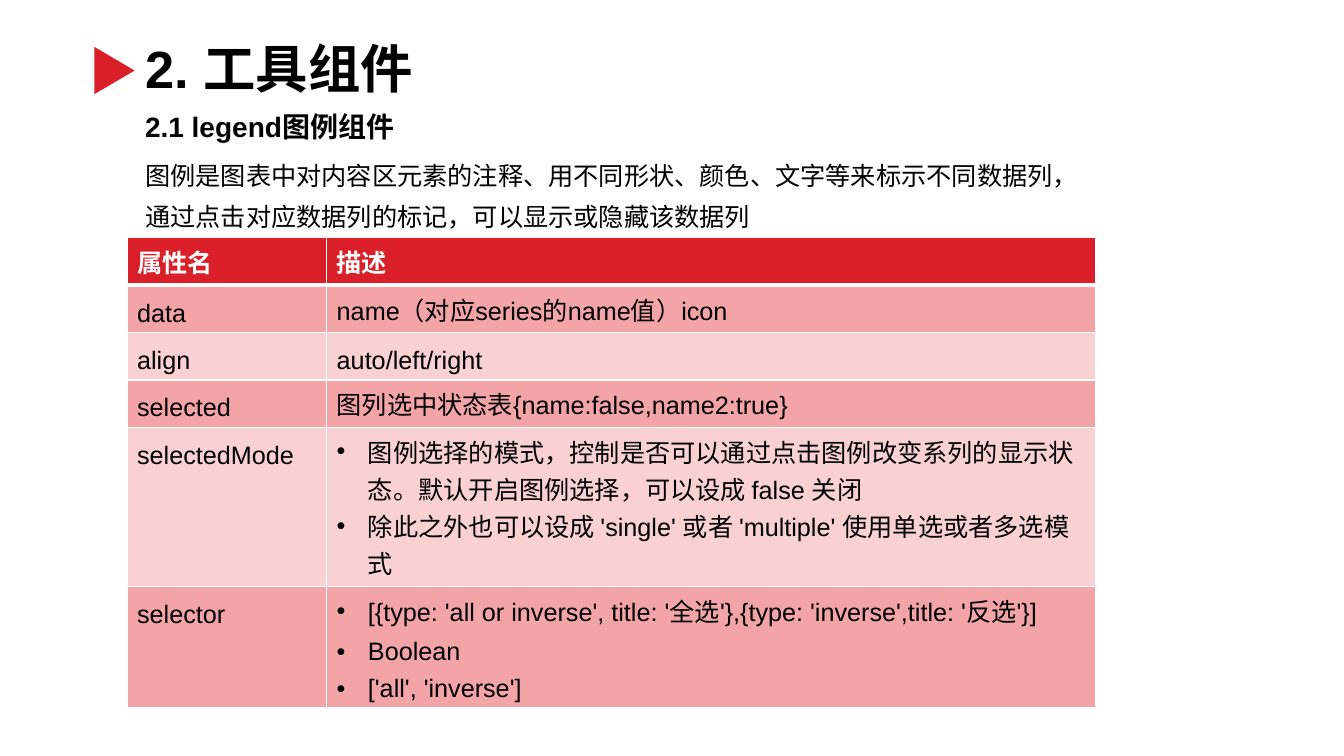
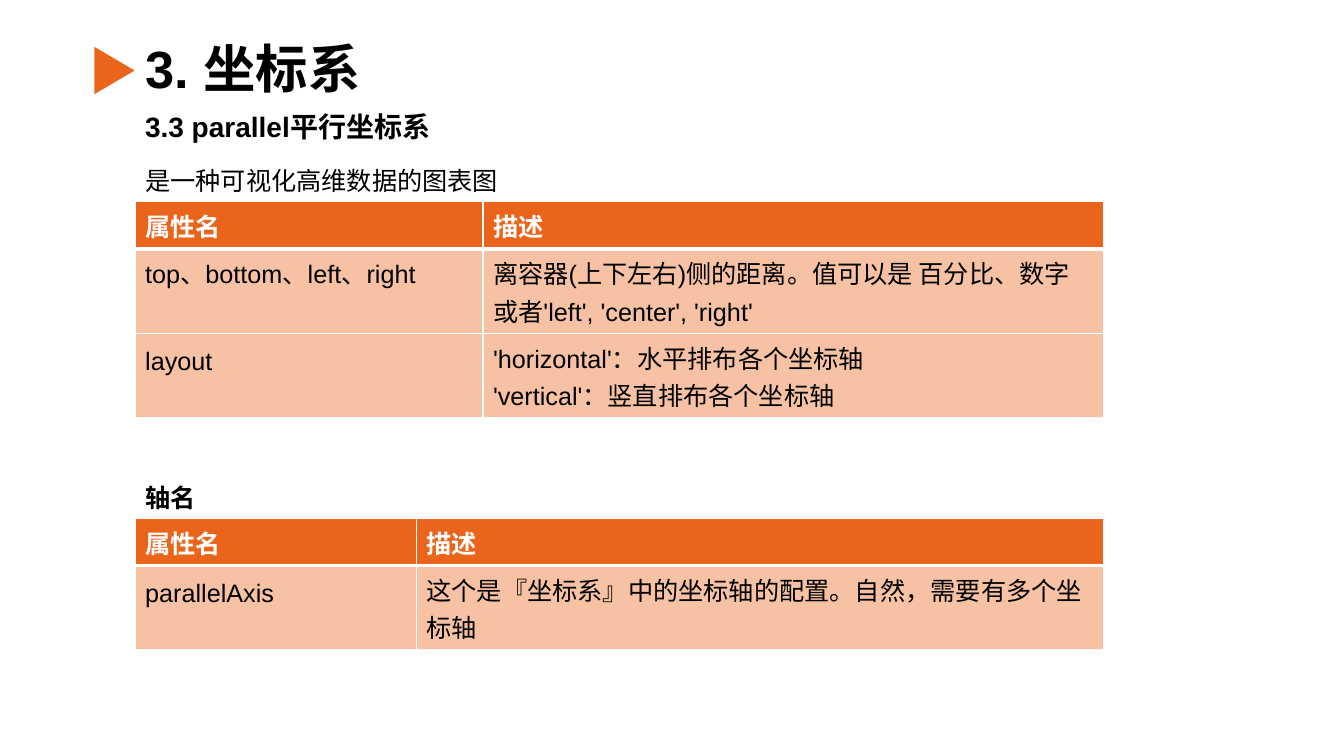
from lxml.etree import SubElement
from pptx import Presentation
from pptx.dml.color import RGBColor
from pptx.enum.lang import MSO_LANGUAGE_ID as LANG
from pptx.enum.shapes import MSO_SHAPE as SHAPE
from pptx.enum.text import MSO_ANCHOR as ANCHOR, PP_ALIGN as ALIGN
from pptx.oxml.ns import qn
from pptx.util import Inches, Pt

COLORS = {
    "black": "000000", "white": "FFFFFF",
    "red": "DA1F28", "red band": "F2A4A7", "red light": "F9D1D3",
    "orange": "EB641B", "orange band": "F7C1A4",
}
FONT = "Arial"
LEFT = 1.34          # shared left edge of all text
TABLE_WIDTH = 9.61
LINE = 26.6          # line pitch inside tables, points
CELL_PADDING = 0.1   # top and bottom insets together
BULLET_INDENT = 0.31
HEADER = ("属性名", "描述")

# Content: a string is plain text, a tuple gives paragraphs, a list gives bullets.
# The last number of each row is its count of text lines.
SLIDES = [
    {
        "title": "2. 工具组件",
        "accent": "red", "bands": ("red band", "red light"),
        "heading": "2.1 legend图例组件",
        "body": {
            "text": "图例是图表中对内容区元素的注释、用不同形状、颜色、文字等来标示不同数据列，"
                    "通过点击对应数据列的标记，可以显示或隐藏该数据列",
            "top": 1.43, "height": 0.93, "line": 29.6,
        },
        "labels": [],
        "tables": [{
            "left": 1.26, "top": 2.36, "first": 1.98,
            "rows": [
                ("data", "name（对应series的name值）icon", 1),
                ("align", "auto/left/right", 1),
                ("selected", "图列选中状态表{name:false,name2:true}", 1),
                ("selectedMode", [
                    "图例选择的模式，控制是否可以通过点击图例改变系列的显示状态。"
                    "默认开启图例选择，可以设成 false 关闭",
                    "除此之外也可以设成 'single' 或者 'multiple' 使用单选或者多选模式",
                ], 4),
                ("selector", [
                    "[{type: 'all or inverse', title: '全选'},{type: 'inverse',title: '反选'}]",
                    "Boolean",
                    "['all', 'inverse']",
                ], 3),
            ],
        }],
    },
    {
        "title": "3. 坐标系",
        "accent": "orange", "bands": ("orange band",),
        "heading": "3.3 parallel平行坐标系",
        "body": {"text": "是一种可视化高维数据的图表图",
                 "top": 1.59, "height": 0.4, "line": None},
        "labels": [("轴名", 4.74)],
        "tables": [
            {
                "left": LEFT, "top": 2, "first": 3.45,
                "rows": [
                    ("top、bottom、left、right",
                     "离容器(上下左右)侧的距离。值可以是 百分比、数字或者'left', 'center', 'right'", 2),
                    ("layout", ("'horizontal'：水平排布各个坐标轴",
                                "'vertical'：竖直排布各个坐标轴"), 2),
                ],
            },
            {
                "left": LEFT, "top": 5.14, "first": 2.79,
                "rows": [("parallelAxis",
                          "这个是『坐标系』中的坐标轴的配置。自然，需要有多个坐标轴", 2)],
            },
        ],
    },
]


def rgb(name):
    return RGBColor.from_string(COLORS[name])


def place(shape, left, top, width, height):
    shape.left, shape.top = Inches(left), Inches(top)
    shape.width, shape.height = Inches(width), Inches(height)


def write(frame, text, size=18, color="black", bold=False, line=None, anchor=ANCHOR.TOP):
    """Fill a text frame with one or more formatted paragraphs."""
    frame.word_wrap = True
    frame.vertical_anchor = anchor
    bulleted = isinstance(text, list)
    for index, words in enumerate([text] if isinstance(text, str) else text):
        para = frame.add_paragraph() if index else frame.paragraphs[0]
        para.alignment = ALIGN.LEFT
        para.space_before = para.space_after = Pt(0)
        if line:
            para.line_spacing = Pt(line)
        indent = Inches(BULLET_INDENT) if bulleted else 0
        props = para._p.get_or_add_pPr()
        props.set("marL", str(indent))
        props.set("indent", str(-indent))
        if bulleted:
            SubElement(props, qn("a:buFont"), typeface=FONT)
            SubElement(props, qn("a:buChar"), char="•")
        else:
            SubElement(props, qn("a:buNone"))
        span = para.add_run()
        span.text = words
        font = span.font
        font.name, font.size, font.bold = FONT, Pt(size), bold
        font.color.rgb = rgb(color)
        font.language_id = LANG.SIMPLIFIED_CHINESE


def add_label(page, text, top, height, **style):
    box = page.shapes.add_textbox(Inches(LEFT), Inches(top), Inches(4.44), Inches(height))
    write(box.text_frame, text, bold=True, **style)


def add_borders(cell, top, bottom):
    props = cell._tc.get_or_add_tcPr()
    for side, width in (("L", 1), ("R", 1), ("T", top), ("B", bottom)):
        border = SubElement(props, qn("a:ln" + side), w=str(Pt(width)))
        fill = SubElement(border, qn("a:solidFill"))
        SubElement(fill, qn("a:srgbClr"), val=COLORS["white"])


def add_property_table(page, spec_table, accent, bands):
    rows = [(*HEADER, 1), *spec_table["rows"]]
    heights = [lines * LINE / 72 + CELL_PADDING for *_, lines in rows]
    table = page.shapes.add_table(
        len(rows), len(HEADER), Inches(spec_table["left"]), Inches(spec_table["top"]),
        Inches(TABLE_WIDTH), Inches(sum(heights))).table
    first = spec_table["first"]
    for column, width in zip(table.columns, (first, TABLE_WIDTH - first)):
        column.width = Inches(width)
    for number, (*texts, _) in enumerate(rows):
        header = number == 0
        table.rows[number].height = Inches(heights[number])
        for cell, text in zip(table.rows[number].cells, texts):
            add_borders(cell, top=3 if number == 1 else 1, bottom=3 if header else 1)
            cell.fill.solid()
            cell.fill.fore_color.rgb = rgb(accent if header else bands[(number - 1) % len(bands)])
            write(cell.text_frame, text, color="white" if header else "black",
                  bold=header, line=LINE)


def add_marker(page, accent):
    marker = page.shapes.add_shape(SHAPE.ISOSCELES_TRIANGLE, Inches(0.9), Inches(0.5),
                                   Inches(0.47), Inches(0.4))
    marker.rotation = 90
    marker.shadow.inherit = False
    marker.fill.solid()
    marker.fill.fore_color.rgb = rgb(accent)
    marker.line.fill.background()


def build_page(deck, layout, content):
    page = deck.slides.add_slide(layout)
    title, body = page.placeholders
    write(title.text_frame, content["title"], size=37.4, bold=True, anchor=ANCHOR.MIDDLE)
    add_marker(page, content["accent"])
    add_label(page, content["heading"], 1.04, 0.44, size=20)
    intro = content["body"]
    place(body, LEFT, intro["top"], 9.56, intro["height"])
    write(body.text_frame, intro["text"], line=intro["line"])
    for text, top in content["labels"]:
        add_label(page, text, top, 0.4)
    for table in content["tables"]:
        add_property_table(page, table, content["accent"], content["bands"])


def main():
    deck = Presentation()
    deck.slide_width, deck.slide_height = Inches(13.33), Inches(7.5)
    # The layout carries the shared title position
    layout = deck.slide_layouts.get_by_name("Title and Content")
    place(layout.placeholders[0], LEFT, 0.31, 6.89, 0.73)
    for content in SLIDES:
        build_page(deck, layout, content)
    deck.save("out.pptx")


if __name__ == "__main__":
    main()
